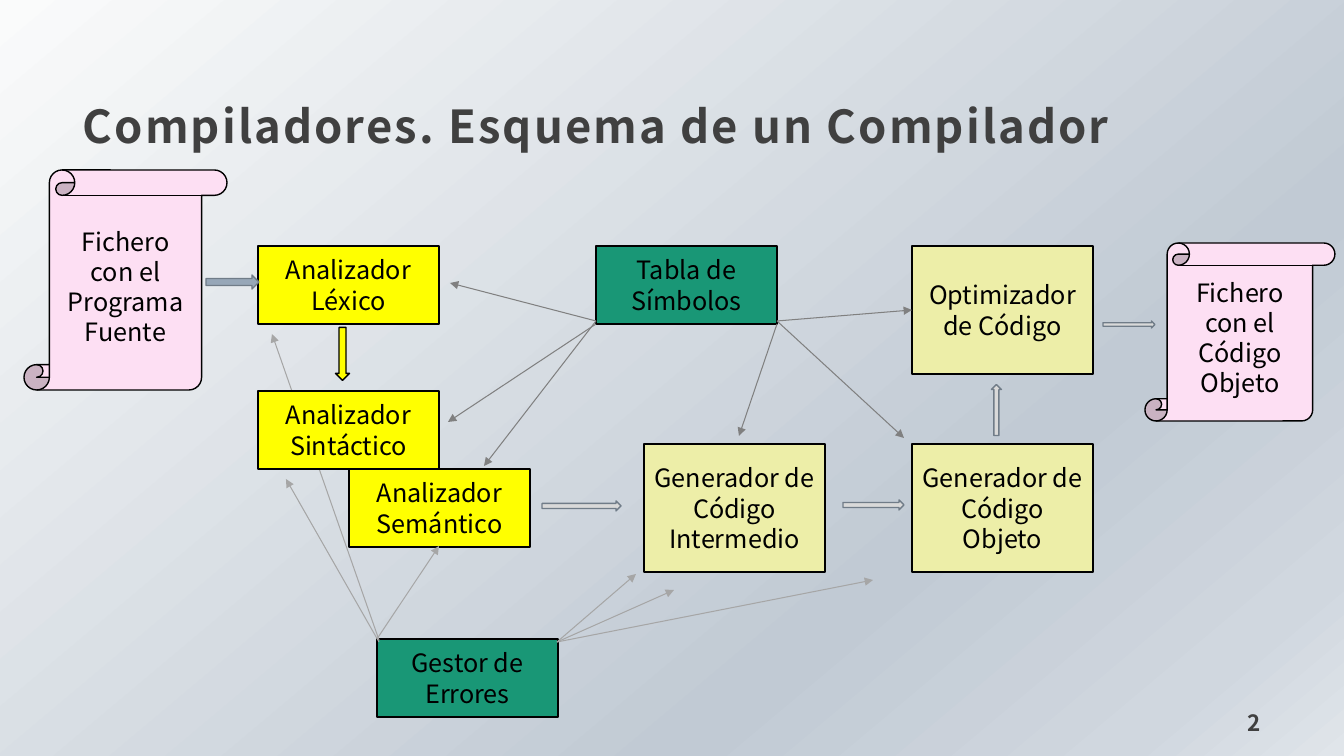
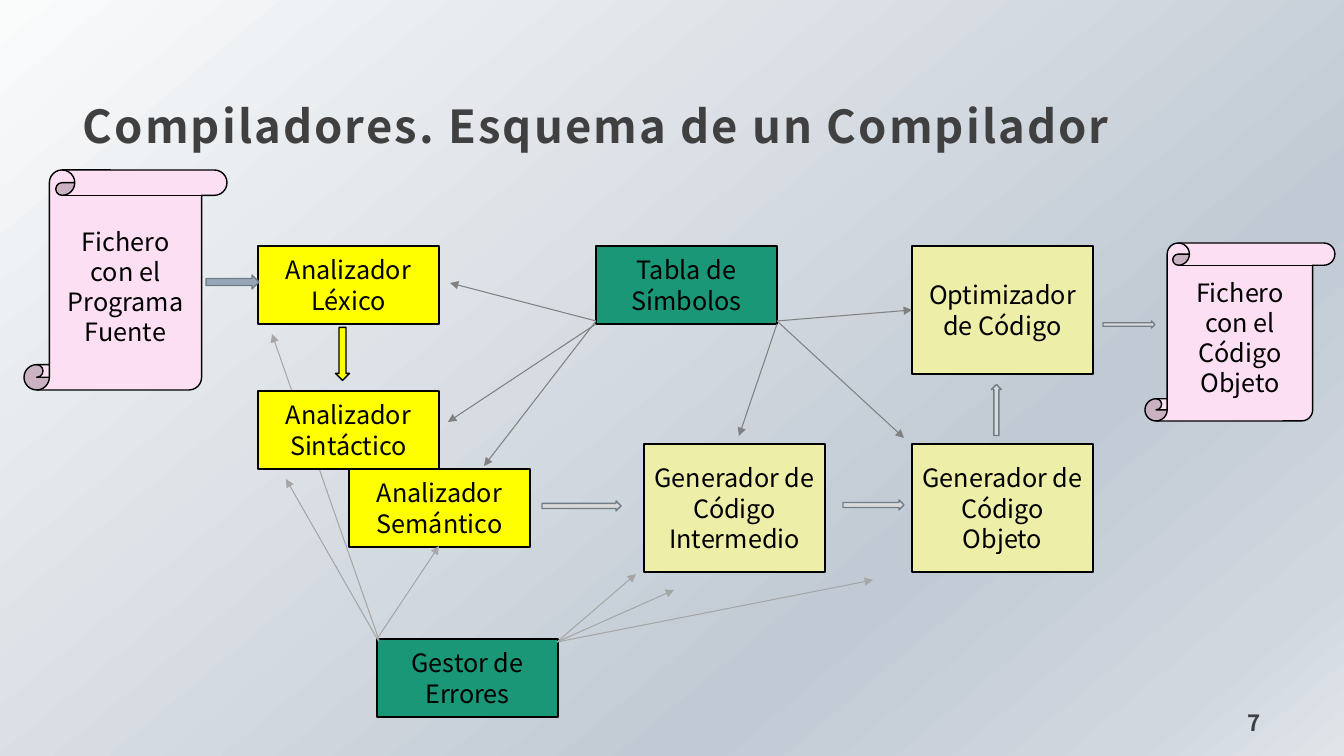
"""Build two slides with the block diagram of a compiler."""
from copy import deepcopy

from lxml import etree
from pptx import Presentation
from pptx import util as u
from pptx.dml.color import RGBColor
from pptx.enum import shapes, text
from pptx.oxml.ns import qn

PX = 914400 / 100.8
FONT = "Noto Sans CJK JP"
COLORS = {
    "heading": "404040", "ink": "000000", "analysis": "FFFF00",
    "file": "FDDFF3", "synthesis": "EDEEA8", "support": "199776",
    "input": "97A7B8", "flow": "D9D9D9", "flow_edge": "707C88",
    "symbols": "808080", "errors": "A6A6A6",
}
BACKGROUND = [(0, "FAFBFB"), (70, "C1CAD4"), (90, "D0D7DF"), (100, "E0E5EA")]
RECT = shapes.MSO_SHAPE.RECTANGLE
SCROLL = shapes.MSO_SHAPE.VERTICAL_SCROLL
ARROW = shapes.MSO_SHAPE.RIGHT_ARROW
LEFT, CENTER, RIGHT = text.PP_ALIGN.LEFT, text.PP_ALIGN.CENTER, text.PP_ALIGN.RIGHT
MIDDLE, BOTTOM = text.MSO_ANCHOR.MIDDLE, text.MSO_ANCHOR.BOTTOM

BOX_W, LOW, TALL = 181, 78, 128
COL_SYNTAX, COL_OBJECT = 258, 912
ROW_TOP, ROW_CODE = 246, 444
NODES = [
    (RECT, (COL_SYNTAX, ROW_TOP, BOX_W, LOW), "analysis", "Analizador Léxico"),
    (RECT, (349, 469, BOX_W, LOW), "analysis", "Analizador Semántico"),
    (SCROLL, (24, 170, 203, 220), "file", "Fichero con el Programa Fuente"),
    (RECT, (644, ROW_CODE, BOX_W, TALL), "synthesis", "Generador de Código Intermedio"),
    (RECT, (COL_OBJECT, ROW_CODE, BOX_W, TALL), "synthesis", "Generador de Código Objeto"),
    (RECT, (COL_OBJECT, ROW_TOP, BOX_W, TALL), "synthesis", "Optimizador de Código"),
    (RECT, (596, ROW_TOP, BOX_W, LOW), "support", "Tabla de Símbolos"),
    (RECT, (377, 639, BOX_W, LOW), "support", "Gestor de Errores"),
    (SCROLL, (1145, 243, 190, 178), "file", "Fichero con el Código Objeto"),
]
ARROWS = [
    ((206, 275, 53, 14), "input", "flow_edge", 0),
    ((316, 347, 53, 14), "analysis", "ink", 90),
    ((542, 501, 79, 10), "flow", "flow_edge", 0),
    ((843, 500, 61, 10), "flow", "flow_edge", 0),
    ((971, 405, 51, 10), "flow", "flow_edge", 270),
    ((1103, 321, 52, 7), "flow", "flow_edge", 0),
]
LINKS = {
    "symbols": [
        (596, 321, 450, 283), (596, 324, 448, 422), (777, 324, 739, 436),
        (777, 321, 904, 438), (777, 321, 912, 310), (596, 321, 484, 466),
    ],
    "errors": [
        (379, 640, 272, 334), (379, 642, 286, 479), (377, 639, 439, 546),
        (557, 642, 636, 574), (557, 642, 873, 580), (557, 642, 674, 590),
    ],
}
HEADINGS = [
    ((71, 78, 1240, 65), 32.4, LEFT, MIDDLE, 1.5),
    ((1165, 696, 108, 50), 16, RIGHT, BOTTOM, 1.0),
]
MARGINS = {"margin_left": 12, "margin_top": 12, "margin_right": 12, "margin_bottom": 10}


def write(sp, words, size, color, align, anchor):
    tf = sp.text_frame
    tf.word_wrap = True
    tf.vertical_anchor = anchor
    p = tf.paragraphs[0]
    p.alignment = align
    r = p.add_run()
    r.text = words
    for name, value in {"name": FONT, "size": u.Pt(size)}.items():
        setattr(r.font, name, value)
    r.font.color.rgb = RGBColor.from_string(COLORS[color])
    return p, r


def block(s, kind, at, fill, edge, words="", turn=0):
    sp = s.shapes.add_shape(kind, *[round(v * PX) for v in at])
    sp.shadow.inherit = False
    sp.rotation = turn
    sp.fill.solid()
    sp.fill.fore_color.rgb = RGBColor.from_string(COLORS[fill])
    sp.line.color.rgb = RGBColor.from_string(COLORS[edge])
    sp.line.width = u.Pt(1)
    if words:
        write(sp, words, 18, "ink", CENTER, MIDDLE)


prs = Presentation()
prs.slide_width, prs.slide_height = round(1344 * PX), round(756 * PX)

master = prs.slide_master
master.background.fill.gradient()
grad = master.element.find(".//" + qn("a:gradFill"))
stops = grad.find(qn("a:gsLst"))
for stop in list(stops):
    stops.remove(stop)
for position, color in BACKGROUND:
    stop = etree.SubElement(stops, qn("a:gs"), pos=str(position * 1000))
    etree.SubElement(stop, qn("a:srgbClr"), val=color)
direction = grad.find(qn("a:lin"))
direction.set("ang", str(50 * 60000))
direction.set("scaled", "0")

arrowhead = etree.Element(qn("a:tailEnd"), type="triangle")

for number in ("2", "7"):
    s = prs.slides.add_slide(prs.slide_layouts[6])

    wordings = ("Compiladores. Esquema de un Compilador", number)
    for words, (at, size, align, anchor, spacing) in zip(wordings, HEADINGS):
        sp = s.shapes.add_textbox(*[round(v * PX) for v in at])
        for name, value in MARGINS.items():
            setattr(sp.text_frame, name, round(value * PX))
        p, r = write(sp, words, size, "heading", align, anchor)
        p.line_spacing = spacing
        r.font.bold = True
        r.font._element.set("spc", "150")

    for kind, at, fill, words in NODES:
        block(s, kind, at, fill, "ink", words)
    for at, fill, edge, turn in ARROWS:
        block(s, ARROW, at, fill, edge, turn=turn)

    for color, ends in LINKS.items():
        for end in ends:
            link = s.shapes.add_connector(
                shapes.MSO_CONNECTOR.STRAIGHT, *[round(v * PX) for v in end])
            link.line.color.rgb = RGBColor.from_string(COLORS[color])
            link.line.width = u.Pt(0.75)
            link.line._get_or_add_ln().append(deepcopy(arrowhead))
            etree.SubElement(link._element.spPr, qn("a:effectLst"))

    block(s, RECT, (COL_SYNTAX, 391, BOX_W, LOW), "analysis", "ink", "Analizador Sintáctico")

prs.save("out.pptx")
